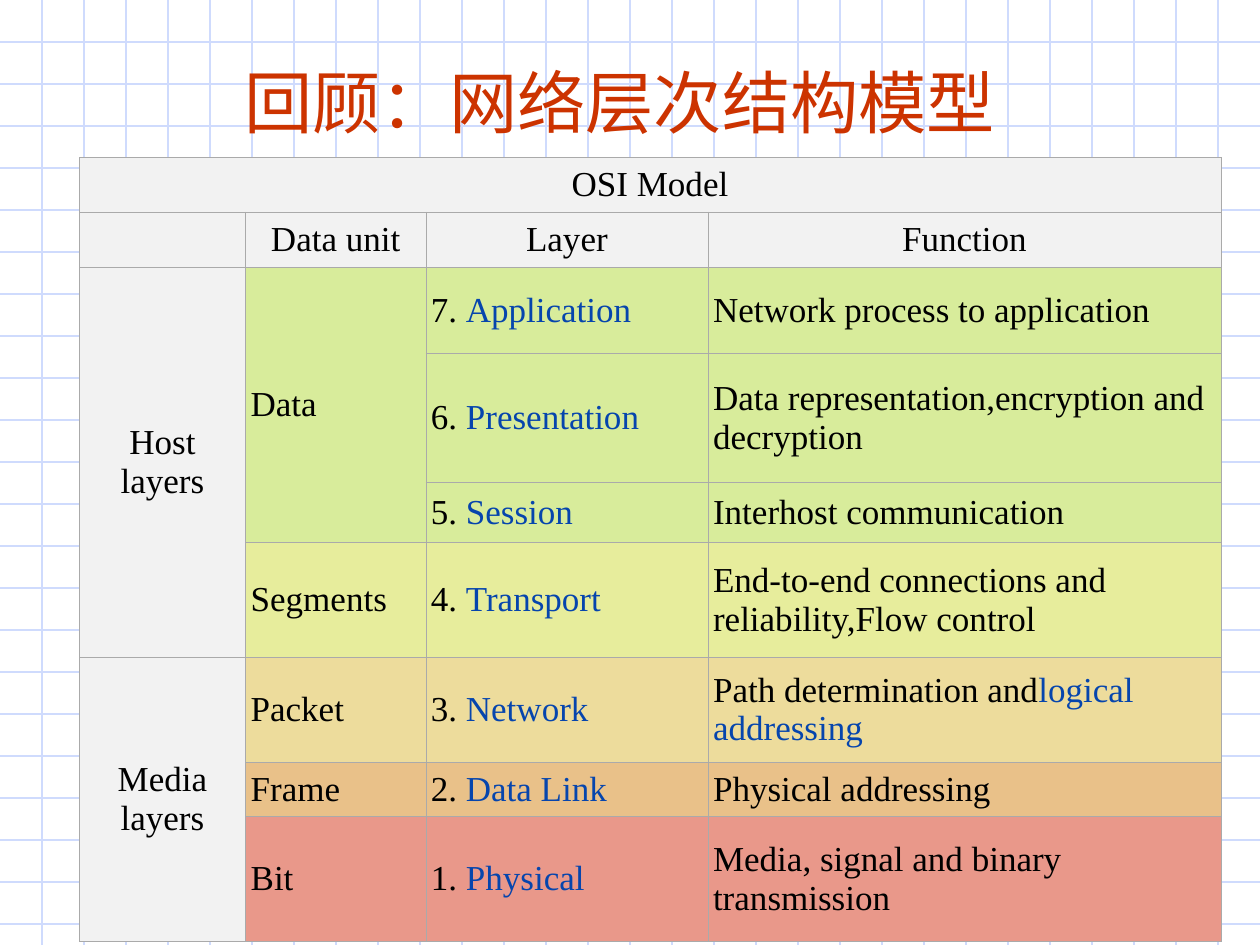
"""Build the OSI model review slide: a squared-paper background, a title and a table."""
from lxml.etree import SubElement
from pptx import Presentation
from pptx.dml.color import RGBColor
from pptx.enum.shapes import MSO_CONNECTOR
from pptx.enum.text import MSO_ANCHOR, PP_ALIGN
from pptx.oxml.ns import qn
from pptx.util import Inches, Pt

COLORS = {
    "grid": "CFDBFD", "title": "CC3300", "text": "000000", "link": "0645AD",
    "border": "AAAAAA", "header": "F2F2F2", "data": "D8EC9B", "segments": "E7ED9C",
    "packet": "EDDC9C", "frame": "E9C189", "bit": "E9988A",
}
FONT = "Times New Roman"
WIDTH, HEIGHT, STEP = 10, 7.5, 1 / 3

COL_WIDTHS = [1.32, 1.43, 2.24, 4.07]
ROW_HEIGHTS = [0.38, 0.38, 0.69, 1.02, 0.48, 0.91, 0.83, 0.43, 0.99]
ROW_FILLS = ["header"] * 2 + ["data"] * 3 + ["segments", "packet", "frame", "bit"]
MERGES = [((0, 0), (0, 3)), ((2, 0), (5, 0)), ((2, 1), (4, 1)), ((6, 0), (8, 0))]
ROWS = [
    ["OSI Model", "", "", ""],
    ["", "Data unit", "Layer", "Function"],
    ["Host\nlayers", "Data", "7. |Application", "Network process to application"],
    ["", "", "6. |Presentation", "Data representation,encryption and decryption"],
    ["", "", "5. |Session", "Interhost communication"],
    ["", "Segments", "4. |Transport", "End-to-end connections and reliability,Flow control"],
    ["Media\nlayers", "Packet", "3. |Network", "Path determination and|logical addressing"],
    ["", "Frame", "2. |Data Link", "Physical addressing"],
    ["", "Bit", "1. |Physical", "Media, signal and binary transmission"],
]


def add_grid_line(slide, x1, y1, x2, y2):
    line = slide.shapes.add_connector(
        MSO_CONNECTOR.STRAIGHT, Inches(x1), Inches(y1), Inches(x2), Inches(y2))
    line.line.color.rgb = RGBColor.from_string(COLORS["grid"])
    line.line.width = Pt(0.75)
    SubElement(line._element.spPr, qn("a:effectLst"))


def set_borders(cell):
    tcPr = cell._tc.get_or_add_tcPr()
    for side in ("L", "R", "T", "B"):
        ln = SubElement(tcPr, qn(f"a:ln{side}"), w=str(Pt(0.34)))
        fill = SubElement(ln, qn("a:solidFill"))
        SubElement(fill, qn("a:srgbClr"), val=COLORS["border"])


prs = Presentation()
prs.slide_width, prs.slide_height = Inches(WIDTH), Inches(HEIGHT)
s = prs.slides.add_slide(prs.slide_layouts[6])

for i in range(1, int(HEIGHT / STEP) + 1):
    add_grid_line(s, 0, i * STEP, WIDTH, i * STEP)
for i in range(1, int(WIDTH / STEP)):
    add_grid_line(s, i * STEP, 0, i * STEP, HEIGHT)

title = s.shapes.add_textbox(Inches(0.67), Inches(0.33), Inches(8.5), Inches(0.85))
tf = title.text_frame
tf.word_wrap = True
tf.vertical_anchor = MSO_ANCHOR.BOTTOM
p = tf.paragraphs[0]
p.text = "回顾：网络层次结构模型"
p.alignment = PP_ALIGN.CENTER
p.font.name = FONT
p.font.size = Pt(39)
p.font.color.rgb = RGBColor.from_string(COLORS["title"])

table = s.shapes.add_table(
    len(ROWS), len(COL_WIDTHS), Inches(0.63), Inches(1.25),
    Inches(sum(COL_WIDTHS)), Inches(sum(ROW_HEIGHTS))).table
table.first_row = table.horz_banding = False
for column, width in zip(table.columns, COL_WIDTHS):
    column.width = Inches(width)
for row, height in zip(table.rows, ROW_HEIGHTS):
    row.height = Inches(height)

for r_idx, row in enumerate(ROWS):
    for c_idx, content in enumerate(row):
        cell = table.cell(r_idx, c_idx)
        is_header = r_idx < 2 or c_idx == 0
        set_borders(cell)
        cell.fill.solid()
        cell.fill.fore_color.rgb = RGBColor.from_string(
            COLORS["header" if is_header else ROW_FILLS[r_idx]])
        cell.vertical_anchor = MSO_ANCHOR.MIDDLE
        cell.margin_left = cell.margin_right = Inches(0.04)
        cell.margin_top = cell.margin_bottom = Inches(0.05)
        plain, _, link = content.partition("|")
        p = cell.text_frame.paragraphs[0]
        p.text = plain
        p.alignment = PP_ALIGN.CENTER if is_header else PP_ALIGN.LEFT
        p.font.name = FONT
        p.font.size = Pt(20)
        p.font.color.rgb = RGBColor.from_string(COLORS["text"])
        if link:
            r = p.add_run()
            r.text = link
            r.font.color.rgb = RGBColor.from_string(COLORS["link"])

for first, last in MERGES:
    table.cell(*first).merge(table.cell(*last))

prs.save("out.pptx")
